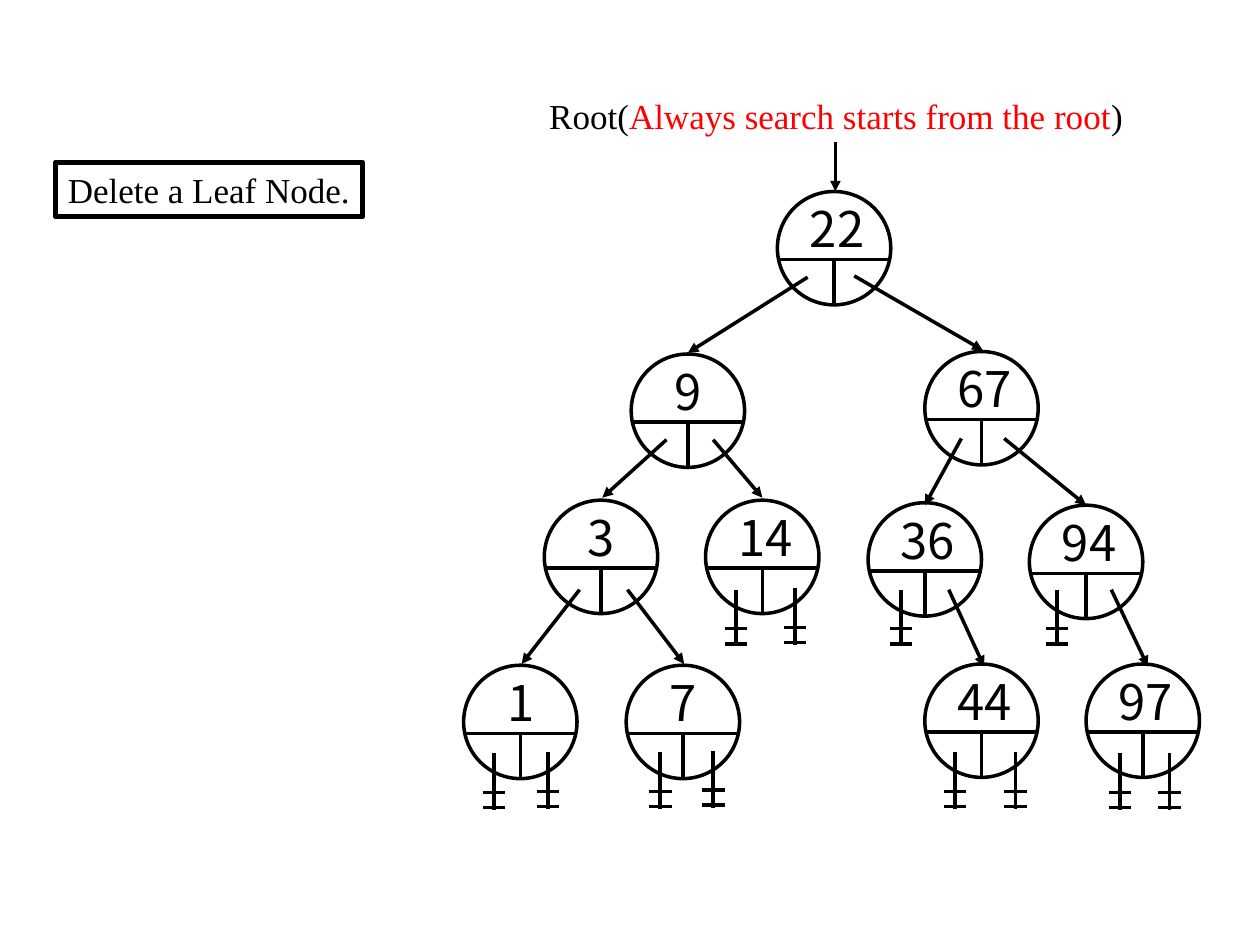
"""Draw a binary search tree slide on deleting a leaf node."""
from dataclasses import dataclass

from lxml import etree
from pptx import Presentation
from pptx import util as u
from pptx.dml.color import RGBColor
from pptx.enum import shapes, text
from pptx.oxml import ns


@dataclass(frozen=True)
class Theme:
    ink: RGBColor = RGBColor(0, 0, 0)
    red: RGBColor = RGBColor(255, 0, 0)
    serif: str = "Times New Roman"
    sans: str = "Noto Sans CJK KR"
    note: u.Pt = u.Pt(20)
    key: u.Pt = u.Pt(28)
    thin: u.Pt = u.Pt(2)
    thick: u.Pt = u.Pt(3)


theme = Theme()


def wire(group, x1, y1, x2, y2, arrow=False):
    """Add a straight line, with an arrowhead at its end if asked."""
    ends = [u.Inches(n) for n in (x1, y1, x2, y2)]
    line = group.add_connector(shapes.MSO_CONNECTOR.STRAIGHT, *ends)
    line.line.color.rgb = theme.ink
    line.line.width = theme.thin
    props = line._element.spPr
    if arrow:
        etree.SubElement(line.line._get_or_add_ln(), ns.qn("a:tailEnd"), type="triangle")
    etree.SubElement(props, ns.qn("a:effectLst"))


def write(shape, runs, font, size):
    """Fill a shape with left-aligned runs of text and colour."""
    frame = shape.text_frame
    frame.word_wrap = False
    frame.vertical_anchor = text.MSO_ANCHOR.TOP
    para = frame.paragraphs[0]
    para.alignment = text.PP_ALIGN.LEFT
    for words, color in runs:
        run = para.add_run()
        run.text = words
        run.font.name = font
        run.font.size = size
        run.font.color.rgb = color
    return para


deck = Presentation()
deck.slide_width, deck.slide_height = u.Inches(10), u.Inches(7.5)
slide = deck.slides.add_slide(deck.slide_layouts[6])
board = slide.shapes

title = board.add_textbox(u.Inches(4.26), u.Inches(0.7), u.Inches(4.75), u.Inches(0.44))
parts = [
    ("Root(", theme.ink),
    ("Always search starts from the root", theme.red),
    (")", theme.ink),
]
write(title, parts, theme.serif, theme.note)

size, bar = 0.9, 0.54
nodes = [
    (22, 6.17, 1.52),
    (9, 5.01, 2.81), (67, 7.34, 2.79),
    (3, 4.32, 3.97), (14, 5.6, 3.97), (36, 6.89, 3.99), (94, 8.17, 4.01),
    (1, 3.68, 5.28), (7, 4.97, 5.28), (44, 7.34, 5.27), (97, 8.62, 5.27),
]
for key, x, y in nodes:
    group = board.add_group_shape().shapes
    ring = group.add_shape(
        shapes.MSO_SHAPE.OVAL, u.Inches(x), u.Inches(y), u.Inches(size), u.Inches(size))
    ring.shadow.inherit = False
    ring.fill.background()
    ring.line.color.rgb = theme.ink
    ring.line.width = theme.thin
    wire(group, x, y + bar, x + size, y + bar)
    wire(group, x + size / 2, y + size, x + size / 2, y + bar)
    width = 0.52 if key < 10 else 0.64
    label = group.add_textbox(
        u.Inches(x + 0.16), u.Inches(y + 0.01), u.Inches(width), u.Inches(0.57))
    write(label, [(f"{key:>2}", theme.ink)], theme.sans, theme.key)

arrows = [
    (6.63, 1.13, 6.63, 1.52),
    (6.41, 2.2, 5.46, 2.8), (6.78, 2.19, 7.8, 2.78),
    (5.29, 3.49, 4.78, 3.95), (5.66, 3.49, 6.05, 3.95),
    (7.63, 3.48, 7.34, 4.01), (7.97, 3.48, 8.62, 4.01),
    (4.6, 4.68, 4.14, 5.27), (4.98, 4.68, 5.43, 5.27),
    (7.53, 4.68, 7.81, 5.29), (8.82, 4.68, 9.11, 5.29),
]
for ends in arrows:
    wire(board, *ends, arrow=True)

nulls = [
    (5.84, 4.68), (6.31, 4.67), (7.15, 4.68), (8.39, 4.68),
    (3.92, 5.98), (4.35, 5.97), (5.24, 5.97), (5.66, 5.96),
    (7.58, 5.97), (8.06, 5.97), (8.89, 5.98), (9.28, 5.98),
]
for x, y in nulls:
    group = board.add_group_shape().shapes
    wire(group, x, y, x, y + 0.45)
    for drop in (0.31, 0.43):
        wire(group, x - 0.09, y + drop, x + 0.09, y + drop)

box = board.add_shape(
    shapes.MSO_SHAPE.RECTANGLE, u.Inches(0.44), u.Inches(1.29), u.Inches(2.44), u.Inches(0.43))
box.shadow.inherit = False
box.fill.background()
box.line.color.rgb = theme.ink
box.line.width = theme.thick
para = write(box, [("Delete a Leaf Node.", theme.ink)], theme.serif, theme.note)
para.space_before = u.Pt(5)

deck.save("out.pptx")
